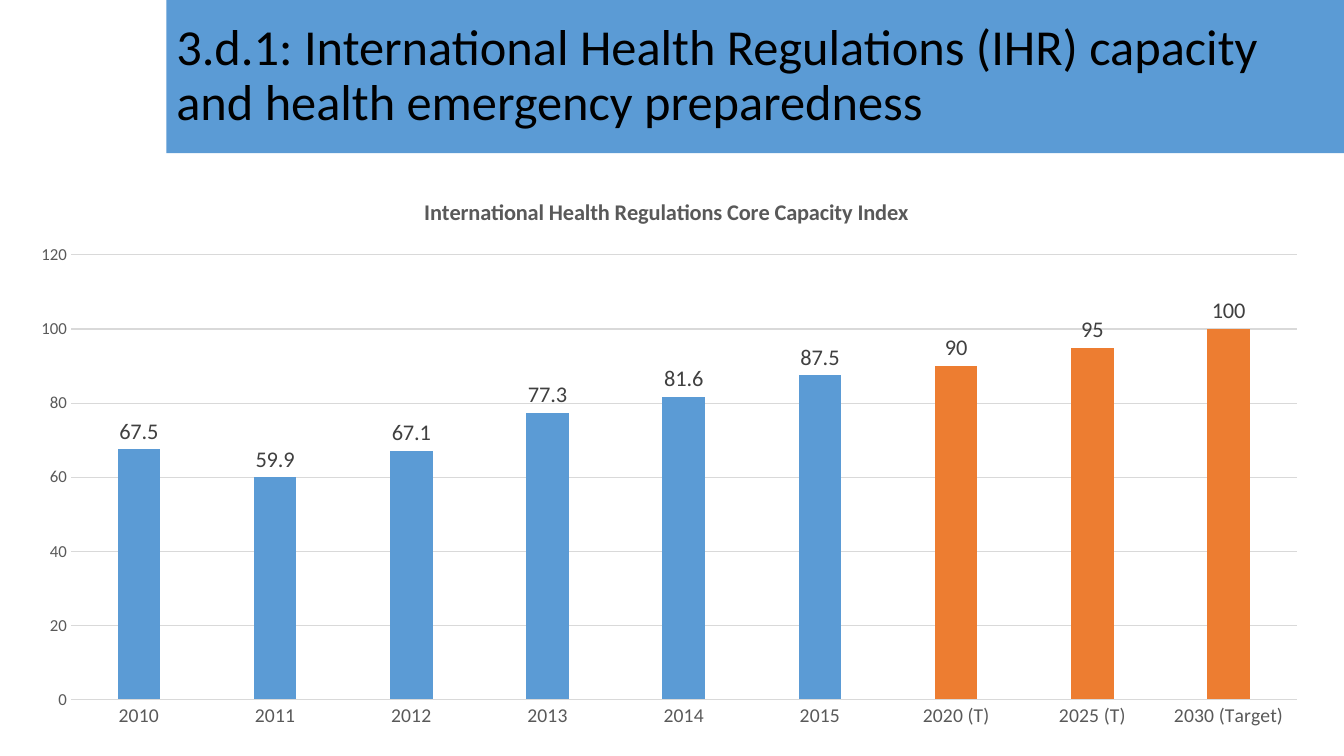
from pptx import Presentation
from pptx.chart.data import CategoryChartData
from pptx.dml.color import RGBColor
from pptx.enum import chart as c, shapes, text
from pptx.util import Inches, Pt

FONT = "Calibri"
BLUE, ORANGE = "5B9BD5", "ED7D31"
GREY, GRID = "595959", "D9D9D9"
INDEX_BY_YEAR = {
    "2010": 67.5, "2011": 59.9, "2012": 67.1, "2013": 77.3, "2014": 81.6,
    "2015": 87.5, "2020 (T)": 90, "2025 (T)": 95, "2030 (Target)": 100,
}


def paint(color_format, color):
    color_format.rgb = RGBColor.from_string(color)


def fill(target, color):
    target.fill.solid()
    paint(target.fill.fore_color, color)


def style_font(font, size, color, bold=False):
    font.name = FONT
    font.size = Pt(size)
    font.bold = bold
    paint(font.color, color)


def style_line(line, color):
    paint(line.color, color)
    line.width = Pt(0.75)


def write(frame, words, size, color, bold=False, line_spacing=None):
    paragraph = frame.paragraphs[0]
    paragraph.line_spacing = line_spacing
    run = paragraph.add_run()
    run.text = words
    style_font(run.font, size, color, bold)
    return paragraph


def add_banner(slide, words):
    banner = slide.shapes.add_shape(
        shapes.MSO_SHAPE.RECTANGLE,
        Inches(1.65), Inches(0), Inches(11.69), Inches(1.52))
    banner.shadow.inherit = False
    fill(banner, BLUE)
    banner.line.fill.background()
    frame = banner.text_frame
    frame.word_wrap = True
    frame.vertical_anchor = text.MSO_ANCHOR.MIDDLE
    paragraph = write(frame, words, 36, "000000", line_spacing=0.9)
    paragraph.alignment = text.PP_ALIGN.LEFT


def style_axes(chart):
    for axis, size in ((chart.category_axis, 14), (chart.value_axis, 12)):
        axis.major_tick_mark = axis.minor_tick_mark = c.XL_TICK_MARK.NONE
        style_font(axis.tick_labels.font, size, GREY)
    style_line(chart.category_axis.format.line, GRID)
    values = chart.value_axis
    values.minimum_scale, values.maximum_scale, values.major_unit = 0, 120, 20
    values.format.line.fill.background()
    style_line(values.major_gridlines.format.line, GRID)


def add_index_chart(slide, title):
    data = CategoryChartData()
    data.categories = list(INDEX_BY_YEAR)
    data.add_series("Series 1", list(INDEX_BY_YEAR.values()))
    chart = slide.shapes.add_chart(
        c.XL_CHART_TYPE.COLUMN_CLUSTERED,
        Inches(0.15), Inches(1.75), Inches(12.97), Inches(5.58), data).chart
    style_font(chart.font, 10, "000000")
    chart.has_legend = False
    write(chart.chart_title.text_frame, title, 16, GREY, bold=True)
    chart.chart_title.include_in_layout = False
    style_axes(chart)

    plot = chart.plots[0]
    plot.vary_by_categories = False
    plot.gap_width, plot.overlap = 219, -27
    series = plot.series[0]
    fill(series.format, BLUE)
    for position, year in enumerate(INDEX_BY_YEAR):
        if "(T" in year:
            fill(series.points[position].format, ORANGE)
    labels = series.data_labels
    labels.show_value = True
    labels.position = c.XL_LABEL_POSITION.OUTSIDE_END
    style_font(labels.font, 16, "404040")


def main():
    presentation = Presentation()
    presentation.slide_width = Inches(13.33)
    presentation.slide_height = Inches(7.5)
    slide = presentation.slides.add_slide(presentation.slide_layouts[6])
    add_banner(slide, "3.d.1: International Health Regulations (IHR) capacity "
                      "and health emergency preparedness")
    add_index_chart(slide, "International Health Regulations Core Capacity Index ")
    presentation.save("out.pptx")


if __name__ == "__main__":
    main()
